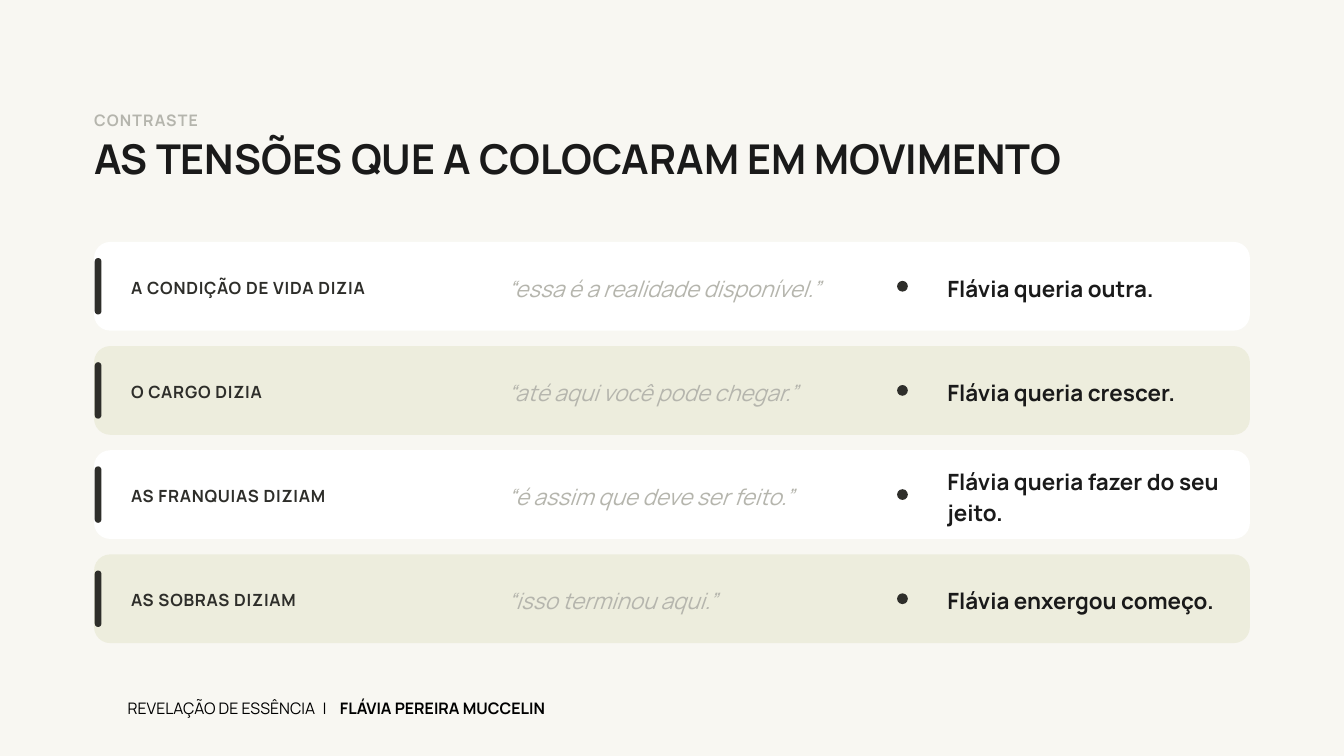
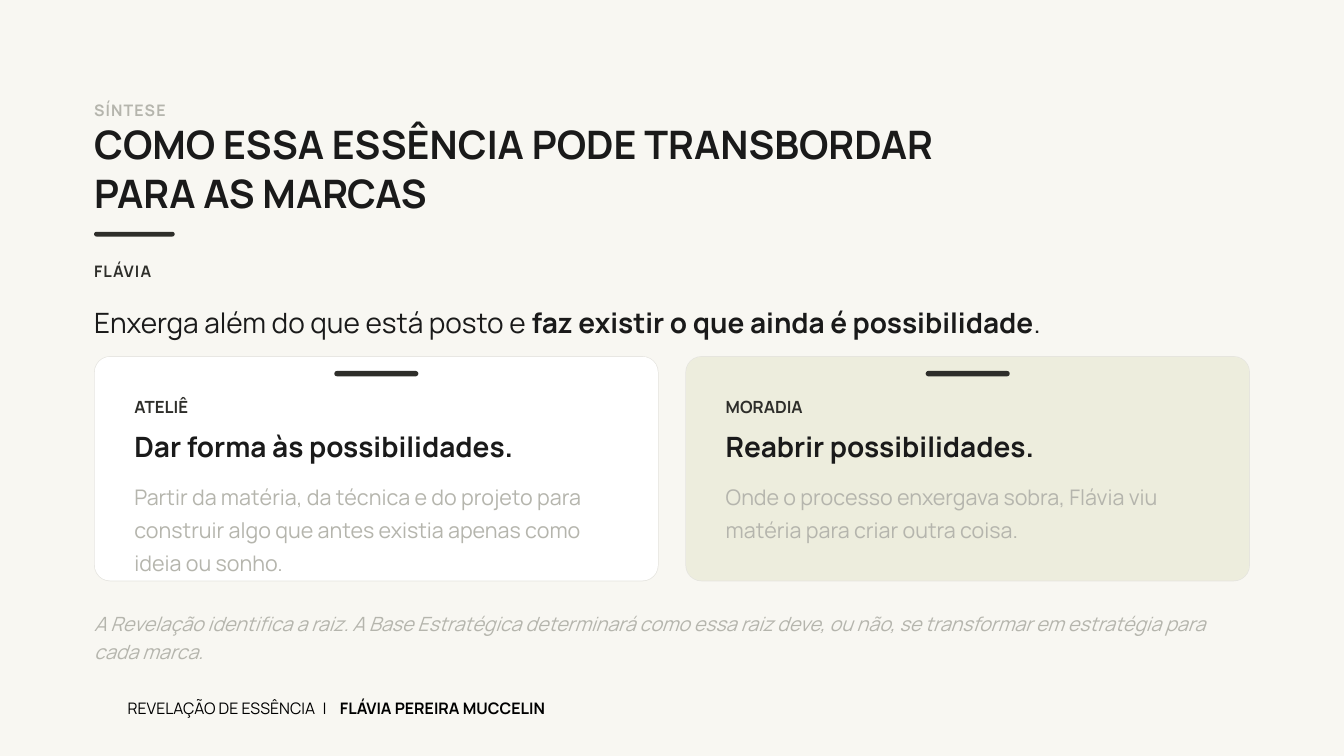
import pptx
import pptx.dml.color
import pptx.enum.shapes
import pptx.enum.text
import pptx.util
from lxml import etree
from pptx.util import Inches

# Content
CONTRAST = {
    "label": "CONTRASTE",
    "title": "AS TENSÕES QUE A COLOCARAM EM MOVIMENTO",
    "rows": [
        ("A CONDIÇÃO DE VIDA DIZIA", "“essa é a realidade disponível.”", "Flávia queria outra."),
        ("O CARGO DIZIA", "“até aqui você pode chegar.”", "Flávia queria crescer."),
        ("AS FRANQUIAS DIZIAM", "“é assim que deve ser feito.”", "Flávia queria fazer do seu jeito."),
        ("AS SOBRAS DIZIAM", "“isso terminou aqui.”", "Flávia enxergou começo."),
    ],
}
SYNTHESIS = {
    "label": "SÍNTESE",
    "title": "COMO ESSA ESSÊNCIA PODE TRANSBORDAR\nPARA AS MARCAS",
    "person": "FLÁVIA",
    "essence": [
        ("Enxerga além do que está posto e ", False),
        ("faz existir o que ainda é possibilidade", True),
        (".", False),
    ],
    "cards": [
        ("ATELIÊ", "Dar forma às possibilidades.",
         "Partir da matéria, da técnica e do projeto para construir algo "
         "que antes existia apenas como ideia ou sonho."),
        ("MORADIA", "Reabrir possibilidades.",
         "Onde o processo enxergava sobra, Flávia viu matéria para criar outra coisa."),
    ],
    "note": "A Revelação identifica a raiz. A Base Estratégica determinará como essa raiz "
            "deve, ou não, se transformar em estratégia para cada marca.",
}
FOOTER = [("REVELAÇÃO DE ESSÊNCIA\t|\t", False), ("FLÁVIA PEREIRA MUCCELIN", True)]
FOOTER_TABS = (2.9, 3.16)

# Shared style
FONT = "Manrope"
BACKGROUND = "F8F7F2"
INK = "1A1A1A"
DARK = "2E2E2A"
MUTED = "B5B5AD"
BORDER = "E5E4DF"
BLACK = "000000"
PANEL_FILLS = ("FFFFFF", "EDEDDD")
LEFT, WIDTH = 1.4, 17.2
RADIUS = 0.24
RECTANGLE = pptx.enum.shapes.MSO_SHAPE.ROUNDED_RECTANGLE
OVAL = pptx.enum.shapes.MSO_SHAPE.OVAL


def color(hex_value):
    return pptx.dml.color.RGBColor.from_string(hex_value)


def place(shape, box):
    shape.left, shape.top, shape.width, shape.height = (Inches(length) for length in box)


def format_frame(frame, size, hex_value, bold=False, italic=False, spacing=0,
                 line=1.15, middle=False):
    """Format every paragraph; runs that already set bold keep it."""
    anchors = pptx.enum.text.MSO_ANCHOR
    frame.word_wrap = True
    frame.auto_size = pptx.enum.text.MSO_AUTO_SIZE.NONE
    frame.vertical_anchor = anchors.MIDDLE if middle else anchors.TOP
    frame.margin_left = frame.margin_top = frame.margin_right = frame.margin_bottom = 0
    for paragraph in frame.paragraphs:
        paragraph.alignment = pptx.enum.text.PP_ALIGN.LEFT
        paragraph.line_spacing = line
        for run in paragraph.runs:
            run.font.name = FONT
            run.font.size = pptx.util.Pt(size)
            run.font.color.rgb = color(hex_value)
            run.font.italic = italic
            if run.font.bold is None:
                run.font.bold = bold
            if spacing:
                run._r.get_or_add_rPr().set("spc", str(round(spacing * 100)))


def add_text(slide, box, content, size, hex_value, tabs=(), **style):
    """Add a text box from a string or a list of (text, bold) runs."""
    frame = slide.shapes.add_textbox(*(Inches(length) for length in box)).text_frame
    paragraph = frame.paragraphs[0]
    if tabs:
        properties = paragraph._p.get_or_add_pPr()
        namespace = "{%s}" % properties.nsmap["a"]
        tab_list = etree.SubElement(properties, namespace + "tabLst")
        for position in tabs:
            etree.SubElement(tab_list, namespace + "tab", pos=str(Inches(position)), algn="l")
    if isinstance(content, str):
        frame.text = content
    else:
        for text, bold in content:
            run = paragraph.add_run()
            run.text = text
            run.font.bold = bold
    format_frame(frame, size, hex_value, **style)


def add_filled(slide, kind, box, hex_value, radius=None):
    shape = slide.shapes.add_shape(kind, *(Inches(length) for length in box))
    shape.shadow.inherit = False
    shape.fill.solid()
    shape.fill.fore_color.rgb = color(hex_value)
    shape.line.fill.background()
    if radius is not None:
        shape.adjustments[0] = radius / min(box[2:])


def add_bar(slide, box):
    add_filled(slide, RECTANGLE, box, DARK, min(box[2:]) / 2)


def add_base_slide(presentation, content, label_top, title_top, title_height, title_size):
    """Add a slide with its label, title and footer."""
    slide = presentation.slides.add_slide(presentation.slide_layouts[5])
    title = slide.shapes.title
    place(title, (LEFT, title_top, WIDTH, title_height))
    title.text_frame.text = content["title"]
    format_frame(title.text_frame, title_size, INK, bold=True, line=1.05)
    add_text(slide, (LEFT, label_top, 14, 0.45), content["label"], 17, MUTED,
             bold=True, spacing=1.2)
    add_text(slide, (1.9, 10.36, 11.5, 0.4), FOOTER, 17, BLACK, tabs=FOOTER_TABS)
    return slide


def build_contrast(presentation):
    slide = add_base_slide(presentation, CONTRAST, 1.6, 1.95, 0.88, 44)
    first_top, height, step = 3.6, 1.32, 1.55
    bar_height, dot = 0.84, 0.16
    for index, (source, quote, answer) in enumerate(CONTRAST["rows"]):
        top = first_top + index * step
        add_filled(slide, RECTANGLE, (LEFT, top, WIDTH, height),
                   PANEL_FILLS[index % 2], RADIUS)
        add_bar(slide, (LEFT + 0.01, top + (height - bar_height) / 2, 0.1, bar_height))
        add_text(slide, (1.95, top, 5.4, height), source, 18, DARK,
                 bold=True, spacing=0.8, middle=True)
        add_text(slide, (7.55, top, 5.5, height), quote, 24, MUTED, italic=True, middle=True)
        add_filled(slide, OVAL, (13.35, top + (height - dot) / 2, dot, dot), DARK)
        add_text(slide, (14.1, top, 4.3, height), answer, 24, INK, bold=True, middle=True)


def build_synthesis(presentation):
    slide = add_base_slide(presentation, SYNTHESIS, 1.45, 1.75, 1.51, 42)
    add_bar(slide, (LEFT, 3.45, 1.2, 0.07))
    add_text(slide, (LEFT, 3.85, 16.6, 0.4), SYNTHESIS["person"], 17, DARK,
             bold=True, spacing=1.2)
    add_text(slide, (LEFT, 4.4, 16.6, 0.8), SYNTHESIS["essence"], 30, INK, line=1.28)

    # Cards: a border panel with a slightly smaller panel on top
    top, width, height, gap = 5.3, 8.4, 3.35, 0.4
    edge, padding, bar_width = 0.01, 0.6, 1.25
    for index, (brand, headline, description) in enumerate(SYNTHESIS["cards"]):
        left = LEFT + index * (width + gap)
        text_left, text_width = left + padding, width - 2 * padding
        add_filled(slide, RECTANGLE, (left, top, width, height), BORDER, RADIUS)
        add_filled(slide, RECTANGLE,
                   (left + edge, top + edge, width - 2 * edge, height - 2 * edge),
                   PANEL_FILLS[index], RADIUS - edge)
        add_bar(slide, (left + (width - bar_width) / 2, top + 0.22, bar_width, 0.08))
        add_text(slide, (text_left, top + 0.55, text_width, 0.49), brand, 18, DARK,
                 bold=True, line=1.18)
        add_text(slide, (text_left, top + 1, text_width, 0.69), headline, 30, INK,
                 bold=True, line=1.18)
        add_text(slide, (text_left, top + 1.8, text_width, 1.3), description, 23, MUTED,
                 line=1.28)

    add_text(slide, (LEFT, 9.05, 16.6, 0.8), SYNTHESIS["note"], 21, MUTED,
             italic=True, line=1.18)


def main():
    presentation = pptx.Presentation()
    presentation.slide_width = Inches(20)
    presentation.slide_height = Inches(11.25)
    background = presentation.slide_master.background.fill
    background.solid()
    background.fore_color.rgb = color(BACKGROUND)
    build_contrast(presentation)
    build_synthesis(presentation)
    presentation.save("out.pptx")


if __name__ == "__main__":
    main()
